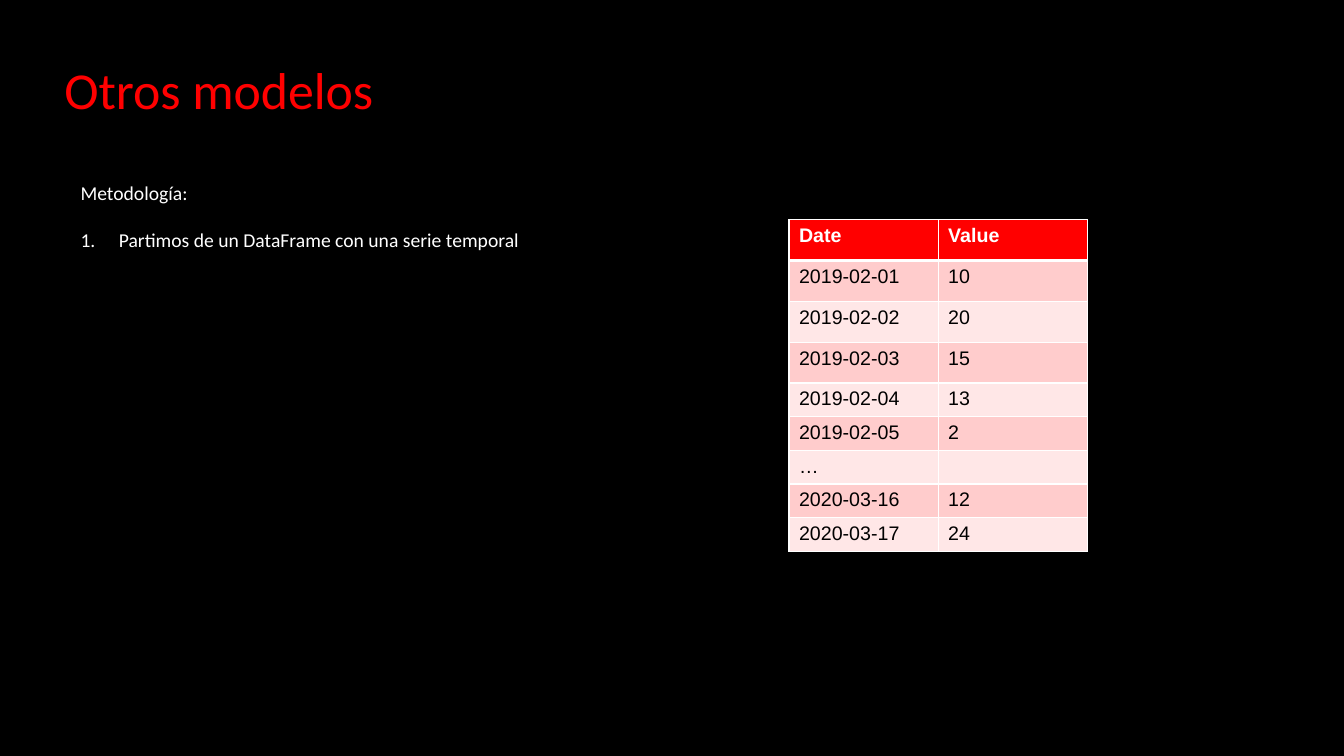
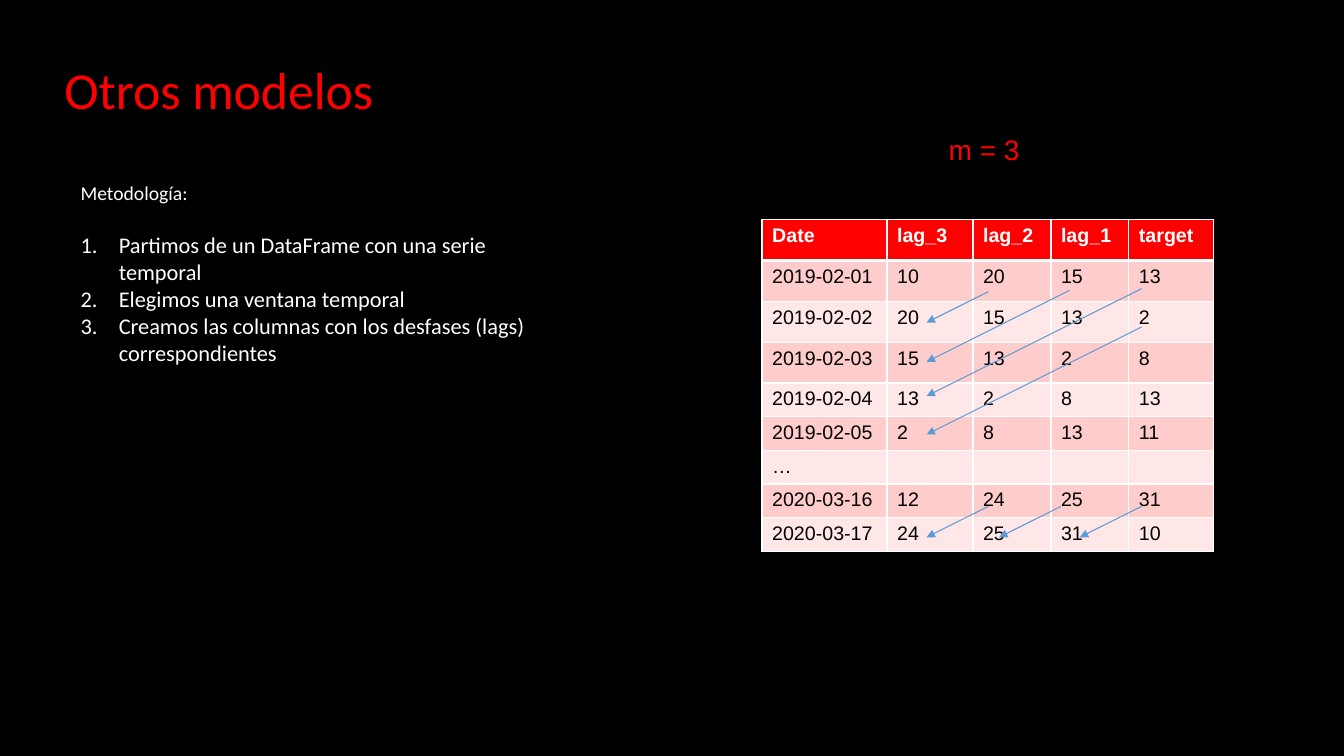
from dataclasses import dataclass

from lxml.etree import SubElement
from pptx import Presentation
from pptx.dml.color import RGBColor
from pptx.enum.shapes import MSO_CONNECTOR
from pptx.enum.text import MSO_ANCHOR
from pptx.oxml.ns import qn
from pptx.util import Inches, Pt

SLIDE_WIDTH, SLIDE_HEIGHT = Inches(13.33), Inches(7.5)


@dataclass(frozen=True)
class Theme:
    background: str = "000000"
    accent: str = "FF0000"
    light: str = "FFFFFF"
    dark: str = "000000"
    bands: tuple = ("FFCCCC", "FFE7E7")
    arrow: str = "5B9BD5"
    text_font: str = "Calibri"
    table_font: str = "Arial"
    title_size: int = 37
    window_size: int = 20
    body_size: int = 14
    steps_size: int = 16
    line_height: float = 1.22


THEME = Theme()

TITLE = "Otros modelos"
HEADING = "Metodología:"
FIRST_STEP = "Partimos de un DataFrame con una serie temporal"
DATES_START = ["2019-02-01", "2019-02-02", "2019-02-03", "2019-02-04", "2019-02-05"]
DATES_END = ["2020-03-16", "2020-03-17"]
SERIES_START = [10, 20, 15, 13, 2, 8, 13, 11]
SERIES_END = [12, 24, 25, 31, 10]

TABLE_TOP = 29.07
TALL_ROWS, TALL_ROW, SHORT_ROW = 4, 5.4, 4.3


def across(percent):
    return round(SLIDE_WIDTH * percent / 100)


def down(percent):
    return round(SLIDE_HEIGHT * percent / 100)


def write_text(paragraph, text, *, size, color, font, bold=False):
    if not text:
        # An empty cell still takes its line height from the type size.
        SubElement(paragraph._p, qn("a:endParaRPr"), sz=str(size * 100))
        return
    run = paragraph.add_run()
    run.text = text
    run.font.size = Pt(size)
    run.font.name = font
    run.font.bold = bold
    run.font.color.rgb = RGBColor.from_string(color)


def add_text_box(slide, left, top, width, height, wrap=True):
    box = slide.shapes.add_textbox(across(left), down(top), across(width), down(height))
    box.text_frame.word_wrap = wrap
    return box.text_frame


def add_title(slide):
    frame = add_text_box(slide, 4.05, 4.67, 86.3, 15.2)
    frame.vertical_anchor = MSO_ANCHOR.MIDDLE
    paragraph = frame.paragraphs[0]
    paragraph.line_spacing = 0.9
    write_text(paragraph, TITLE, size=THEME.title_size, color=THEME.accent,
               font=THEME.text_font)


def number_paragraph(paragraph):
    properties = paragraph._p.get_or_add_pPr()
    indent = Inches(0.38)
    properties.set("marL", str(indent))
    properties.set("indent", str(-indent))
    bullet_color = SubElement(properties, qn("a:buClr"))
    SubElement(bullet_color, qn("a:srgbClr"), val=THEME.light)
    SubElement(properties, qn("a:buAutoNum"), type="arabicPeriod")


def add_method(slide, steps, size):
    frame = add_text_box(slide, 5.25, 22.53, 37.4, 46.8)
    frame.margin_top = frame.margin_bottom = Inches(0.1)
    style = {"color": THEME.light, "font": THEME.text_font}
    write_text(frame.paragraphs[0], HEADING, size=THEME.body_size, **style)
    for index, step in enumerate(steps):
        paragraph = frame.add_paragraph()
        number_paragraph(paragraph)
        if index == 0:
            paragraph.space_before = Pt(size * THEME.line_height)
        write_text(paragraph, step, size=size, **style)


def window_rows(window):
    """Return one row per date, with the values the sliding window covers."""
    def rows(dates, series):
        return [[date, *map(str, series[start:start + window])]
                for start, date in enumerate(dates)]

    gap = ["…"] + [""] * window
    return rows(DATES_START, SERIES_START) + [gap] + rows(DATES_END, SERIES_END)


def set_borders(cell, **widths):
    properties = cell._tc.get_or_add_tcPr()
    for side in "LRTB":
        line = SubElement(properties, qn(f"a:ln{side}"), w=str(Pt(widths.get(side, 1))))
        fill = SubElement(line, qn("a:solidFill"))
        SubElement(fill, qn("a:srgbClr"), val=THEME.light)


def format_cell(cell, text, row):
    is_header = row == 0
    set_borders(cell, **({"B": 3} if is_header else {"T": 3} if row == 1 else {}))
    fill = THEME.accent if is_header else THEME.bands[(row - 1) % 2]
    cell.fill.solid()
    cell.fill.fore_color.rgb = RGBColor.from_string(fill)
    write_text(cell.text_frame.paragraphs[0], text, size=THEME.body_size,
               color=THEME.light if is_header else THEME.dark,
               font=THEME.table_font, bold=is_header)


def add_series_table(slide, left, column_widths, header):
    rows = [header] + window_rows(len(header) - 1)
    heights = [TALL_ROW if row < TALL_ROWS else SHORT_ROW for row in range(len(rows))]
    table = slide.shapes.add_table(
        len(rows), len(header), across(left), down(TABLE_TOP),
        across(sum(column_widths)), down(sum(heights))).table
    table.first_row = table.horz_banding = False
    for column, width in zip(table.columns, column_widths):
        column.width = across(width)
    for index, (row, height) in enumerate(zip(table.rows, heights)):
        row.height = down(height)
        for cell, text in zip(row.cells, rows[index]):
            format_cell(cell, text, index)


def add_lag_arrow(slide, tip_left, tip_top, run):
    """Draw an arrow down to the tip, falling half as far as it runs left."""
    tip_x, tip_y, length = across(tip_left), down(tip_top), across(run)
    connector = slide.shapes.add_connector(
        MSO_CONNECTOR.STRAIGHT, tip_x + length, tip_y - length // 2, tip_x, tip_y)
    connector.line.width = Pt(0.75)
    connector.line.color.rgb = RGBColor.from_string(THEME.arrow)
    SubElement(connector.line._get_or_add_ln(), qn("a:tailEnd"), type="triangle")
    SubElement(connector._element.spPr, qn("a:effectLst"))


def add_method_slide(presentation, steps, size):
    slide = presentation.slides.add_slide(presentation.slide_layouts[6])
    add_method(slide, steps, size)
    add_title(slide)
    return slide


def add_series_slide(presentation):
    slide = add_method_slide(presentation, [FIRST_STEP], THEME.body_size)
    add_series_table(slide, 58.7, [11.1, 11.1], ["Date", "Value"])


def add_lags_slide(presentation):
    steps = [FIRST_STEP, "Elegimos una ventana temporal",
             "Creamos las columnas con los desfases (lags) correspondientes"]
    slide = add_method_slide(presentation, steps, THEME.steps_size)
    add_series_table(slide, 56.7, [9.3, 6.4, 5.8, 5.8, 6.3],
                     ["Date", "lag_3", "lag_2", "lag_1", "target"])
    frame = add_text_box(slide, 69.85, 16.9, 6.8, 5.9, wrap=False)
    write_text(frame.paragraphs[0], "m = 3", size=THEME.window_size,
               color=THEME.accent, font=THEME.table_font)

    first_tip, short_run, long_run = 68.94, 4.6, 16
    for tip_top, run in [(57.47, long_run), (52.4, long_run),
                         (47.87, 10.65), (42.67, short_run)]:
        add_lag_arrow(slide, first_tip, tip_top, run)
    for tip_left in (first_tip, 74.34, 80.34):
        add_lag_arrow(slide, tip_left, 71.07, short_run)


def main():
    presentation = Presentation()
    presentation.slide_width, presentation.slide_height = SLIDE_WIDTH, SLIDE_HEIGHT
    background = presentation.slide_master.background.fill
    background.solid()
    background.fore_color.rgb = RGBColor.from_string(THEME.background)
    add_series_slide(presentation)
    add_lags_slide(presentation)
    presentation.save("out.pptx")


if __name__ == "__main__":
    main()
